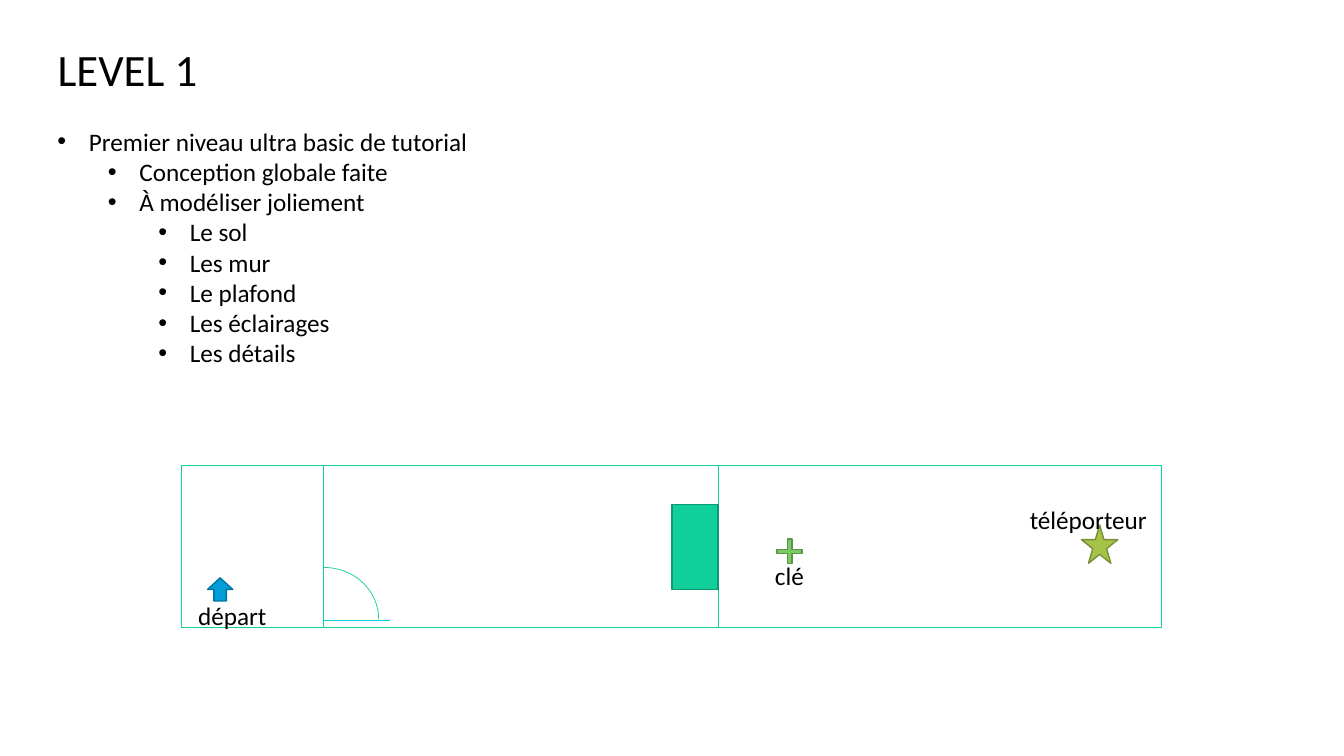
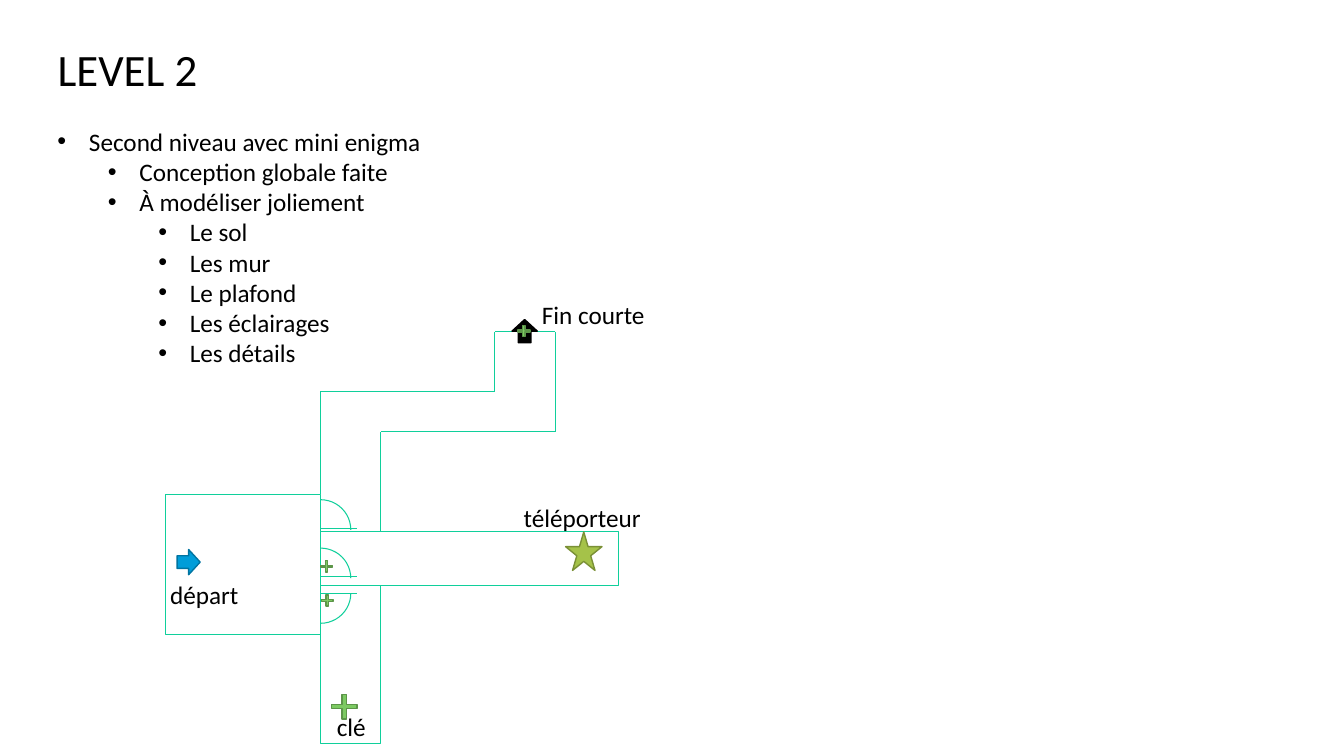
from itertools import pairwise

from lxml.etree import SubElement
from pptx import Presentation
from pptx.dml.color import RGBColor
from pptx.enum.shapes import MSO_CONNECTOR, MSO_SHAPE
from pptx.enum.text import MSO_ANCHOR, PP_ALIGN
from pptx.oxml.ns import qn
from pptx.util import Pt

# Shared style
COLORS = {
    "text": "000000",
    "wall": "10CF9B",
    "panel": "0BD0D9",
    "block_edge": "0C9973",
    "star": "A5C249",
    "star_edge": "7A9036",
    "start": "009DD9",
    "start_edge": "0074A1",
    "key": "7CCA62",
    "key_edge": "5C9549",
}
FONT = "Calibri"
LABEL_WIDTHS = {"départ": 64, "téléporteur": 99.5, "clé": 35.5, "Fin courte": 88.5}

# Marker kinds: preset, width, height, rotation, fill, edge
MARKERS = {
    "star": (MSO_SHAPE.STAR_5_POINT, 26, 27.5, 0, "star", "star_edge"),
    "start_up": (MSO_SHAPE.RIGHT_ARROW, 16.5, 18, 270, "start", "start_edge"),
    "start_right": (MSO_SHAPE.RIGHT_ARROW, 16.5, 18, 0, "start", "start_edge"),
    "exit_up": (MSO_SHAPE.RIGHT_ARROW, 16.5, 18, 270, "text", "text"),
    "key": (MSO_SHAPE.CROSS, 18, 17.5, 0, "key", "key_edge"),
    "small_key": (MSO_SHAPE.CROSS, 8.5, 8, 0, "key", "key_edge"),
    "block": (MSO_SHAPE.RECTANGLE, 33, 60.5, 0, "wall", "block_edge"),
}

# Content: (indent level, text)
TASKS = [
    (1, "Conception globale faite"),
    (1, "À modéliser joliement"),
    (2, "Le sol"),
    (2, "Les mur"),
    (2, "Le plafond"),
    (2, "Les éclairages"),
    (2, "Les détails"),
]

# Rooms: left, top, width, height. Walls: chains of points.
# Doors: hinge x, panel y, swing centre y. Markers and labels: name, left, top.
LEVELS = [
    {
        "title": "LEVEL 1",
        "summary": "Premier niveau ultra basic de tutorial",
        "rooms": [(129.5, 332.5, 700, 116)],
        "walls": [[(x, 332.5), (x, 448.5)] for x in (231.3, 512.8)],
        "wall_weight": 0.5,
        "doors": [(231.3, 443, 442)],
        "door_style": {"panel": 47.5, "radii": (39.2, 36.7), "color": "panel"},
        "markers": [
            ("block", 480, 360.5),
            ("star", 772.5, 375),
            ("start_up", 149, 412),
            ("key", 555, 385),
        ],
        "labels": [
            ("départ", 134.5, 425),
            ("téléporteur", 728.5, 356.5),
            ("clé", 546.5, 396.5),
        ],
    },
    {
        "title": "LEVEL 2",
        "summary": "Second niveau avec mini enigma",
        "rooms": [
            (118, 353, 111, 100.5),
            (229, 418.5, 43, 112.5),
            (229, 380, 212.5, 38.5),
        ],
        "walls": [[
            (229, 353), (229, 279.5), (353.5, 279.5), (353.5, 237),
            (396.5, 237), (396.5, 308.5), (272, 308.5), (272, 380),
        ]],
        "wall_weight": 0.75,
        "doors": [(229, 377.2, 378.4), (229, 411.8, 413), (229, 424, 423.7)],
        "door_style": {"panel": 26, "radii": (21.6, 21.5), "color": "wall"},
        "markers": [
            ("star", 404, 380),
            ("start_right", 126.5, 392.5),
            ("key", 237, 496),
            ("small_key", 229.5, 425),
            ("small_key", 229, 400.5),
            ("exit_up", 366.5, 227.5),
            ("small_key", 370, 232.5),
        ],
        "labels": [
            ("départ", 114.5, 410.5),
            ("téléporteur", 367, 355),
            ("clé", 233.5, 504.5),
            ("Fin courte", 380, 210),
        ],
    },
]


def rgb(name):
    return RGBColor.from_string(COLORS[name])


def style_text(paragraph, size):
    paragraph.font.name = FONT
    paragraph.font.size = Pt(size)
    paragraph.font.color.rgb = rgb("text")


def add_title(slide, text):
    title = slide.shapes.title
    title.left, title.top, title.width, title.height = Pt(34), Pt(26.5), Pt(890), Pt(46)
    title.text_frame.text = text
    title.text_frame.vertical_anchor = MSO_ANCHOR.TOP
    paragraph = title.text_frame.paragraphs[0]
    paragraph.alignment = PP_ALIGN.LEFT
    style_text(paragraph, 32)


def add_outline(slide, items):
    frame = slide.shapes.add_textbox(Pt(34), Pt(86.4), Pt(894), Pt(181)).text_frame
    frame.word_wrap = True
    for index, (level, text) in enumerate(items):
        paragraph = frame.add_paragraph() if index else frame.paragraphs[0]
        paragraph.text = text
        paragraph.level = level
        style_text(paragraph, 18)
        properties = paragraph._p.get_or_add_pPr()
        properties.set("marL", str(Pt(22.5 + 36 * level)))
        properties.set("indent", str(Pt(-22.5)))
        SubElement(properties, qn("a:buFont"), typeface="Arial")
        SubElement(properties, qn("a:buChar"), char="•")


def add_figure(slide, preset, box, edge, weight, fill=None):
    figure = slide.shapes.add_shape(preset, *(Pt(length) for length in box))
    figure.shadow.inherit = False
    if fill:
        figure.fill.solid()
        figure.fill.fore_color.rgb = rgb(fill)
    else:
        figure.fill.background()
    figure.line.color.rgb = rgb(edge)
    figure.line.width = Pt(weight)
    return figure


def add_wall(slide, start, end, color, weight):
    wall = slide.shapes.add_connector(
        MSO_CONNECTOR.STRAIGHT, *(Pt(length) for length in (*start, *end)))
    wall.line.color.rgb = rgb(color)
    wall.line.width = Pt(weight)
    SubElement(wall._element.spPr, qn("a:effectLst"))


def add_door(slide, hinge_x, panel_y, centre_y, style, weight):
    add_wall(slide, (hinge_x, panel_y), (hinge_x + style["panel"], panel_y),
             style["color"], weight)
    rx, ry = style["radii"]
    swing = add_figure(slide, MSO_SHAPE.ARC,
                       (hinge_x - rx, centre_y - ry, 2 * rx, 2 * ry), "wall", weight)
    # A panel below its swing centre opens downwards: 0 to 90 degrees
    if slide.shapes.title.text == "LEVEL 2" and panel_y > centre_y:
        swing.adjustments[0], swing.adjustments[1] = 0, 54


def add_marker(slide, kind, left, top):
    preset, width, height, rotation, fill, edge = MARKERS[kind]
    marker = add_figure(slide, preset, (left, top, width, height), edge, 1, fill)
    marker.rotation = rotation
    if preset == MSO_SHAPE.CROSS:
        marker.adjustments[0] = 0.419


def add_label(slide, text, left, top):
    label = slide.shapes.add_textbox(Pt(left), Pt(top), Pt(LABEL_WIDTHS[text]), Pt(29))
    label.text_frame.text = text
    style_text(label.text_frame.paragraphs[0], 18)


def add_level(deck, level):
    slide = deck.slides.add_slide(deck.slide_layouts[5])
    weight = level["wall_weight"]
    add_title(slide, level["title"])
    add_outline(slide, [(0, level["summary"]), *TASKS])
    # Floor plan
    for room in level["rooms"]:
        add_figure(slide, MSO_SHAPE.RECTANGLE, room, "wall", 0.75)
    for chain in level["walls"]:
        for start, end in pairwise(chain):
            add_wall(slide, start, end, "wall", weight)
    for door in level["doors"]:
        add_door(slide, *door, level["door_style"], weight)
    # Objects and their names
    for marker in level["markers"]:
        add_marker(slide, *marker)
    for label in level["labels"]:
        add_label(slide, *label)


def main():
    deck = Presentation()
    deck.slide_width, deck.slide_height = Pt(960), Pt(540)
    for level in LEVELS:
        add_level(deck, level)
    deck.save("out.pptx")


if __name__ == "__main__":
    main()
